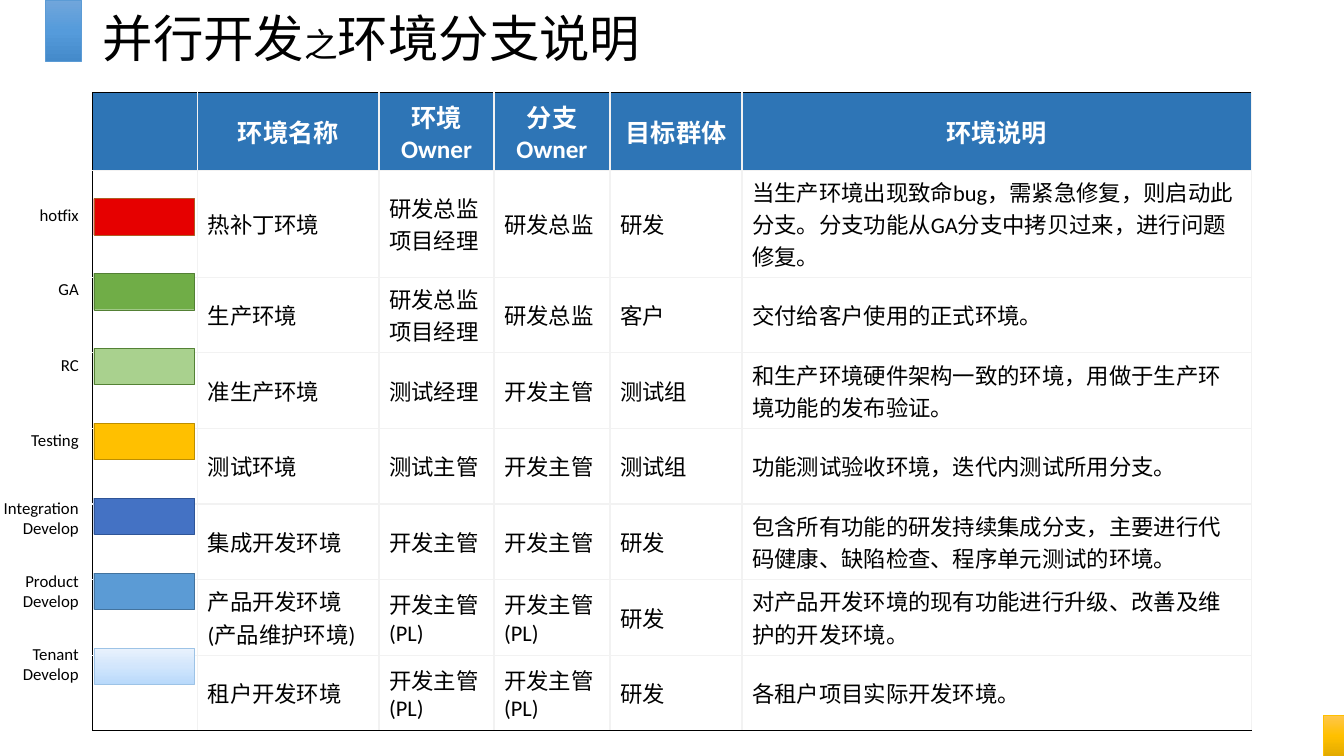
import copy
from dataclasses import dataclass

import pptx
import pptx.dml.color
import pptx.enum.shapes
import pptx.enum.text
import pptx.oxml
import pptx.oxml.ns
import pptx.shapes.autoshape
import pptx.slide
import pptx.table
import pptx.text.text
import pptx.util

Inches = pptx.util.Inches
Pt = pptx.util.Pt
ALIGN = pptx.enum.text.PP_ALIGN
MIDDLE = pptx.enum.text.MSO_ANCHOR.MIDDLE

FONT = "Calibri"
COLORS = {
    "black": "000000",
    "white": "FFFFFF",
    "header": "2E75B6",
    "grid": "F2F2F2",
    "blue_edge": "5B9BD5",
    "gold": "FFC000",
}
BLUE_FADE = ("71A6DB", "559BDB", "448ACA")
GOLD_FADE = ("FFC64B", "FFC000", "E3AB00")
TENANT_FADE = ("E9F2FD", "D2E6FC", "B8D9FB")


@dataclass
class Branch:
    label: str
    label_width: float
    label_top: float
    fills: tuple[str, ...]
    line: str


BRANCHES = [
    Branch("hotfix", 0.6, 1.98, ("E60000",), "AF5C24"),
    Branch("GA", 0.41, 2.72, ("70AD47",), "538035"),
    Branch("RC", 0.38, 3.47, ("A9D18E",), "548235"),
    Branch("Testing", 0.68, 4.21, ("FFC000",), "BD8E00"),
    Branch("Integration\nDevelop", 0.95, 4.89, ("4472C4",), "2F5597"),
    Branch("Product\nDevelop", 0.78, 5.61, ("5B9BD5",), "43739E"),
    Branch("Tenant\nDevelop", 0.76, 6.34, TENANT_FADE, "9DC3E6"),
]
BAR_TOP, BAR_PITCH = 1.97, (6.43 - 1.97) / 6
LABEL_RIGHT = 0.88

COLUMN_WIDTHS = [1.04, 1.8, 1.14, 1.15, 1.31, 5.05]
ROW_HEIGHTS = [0.77, 1.06] + [0.75] * 6
ROWS = [
    ["", "环境名称", "环境Owner", "分支Owner", "目标群体", "环境说明"],
    ["", "热补丁环境", "研发总监\n项目经理", "研发总监", "研发",
     "当生产环境出现致命bug，需紧急修复，则启动此分支。分支功能从GA分支中拷贝过来，进行问题修复。"],
    ["", "生产环境", "研发总监\n项目经理", "研发总监", "客户", "交付给客户使用的正式环境。"],
    ["", "准生产环境", "测试经理", "开发主管", "测试组",
     "和生产环境硬件架构一致的环境，用做于生产环境功能的发布验证。"],
    ["", "测试环境", "测试主管", "开发主管", "测试组", "功能测试验收环境，迭代内测试所用分支。"],
    ["", "集成开发环境", "开发主管", "开发主管", "研发",
     "包含所有功能的研发持续集成分支，主要进行代码健康、缺陷检查、程序单元测试的环境。"],
    ["", "产品开发环境\n(产品维护环境)", "开发主管\n(PL)", "开发主管\n(PL)", "研发",
     "对产品开发环境的现有功能进行升级、改善及维护的开发环境。"],
    ["", "租户开发环境", "开发主管\n(PL)", "开发主管\n(PL)", "研发", "各租户项目实际开发环境。"],
]


def rgb(value: str) -> pptx.dml.color.RGBColor:
    return pptx.dml.color.RGBColor.from_string(value)


def add_text(tf: pptx.text.text.TextFrame, text: str, *, size: float,
             color: str = "black", bold: bool = False,
             align: ALIGN = ALIGN.LEFT, spacing: float | None = None) -> None:
    for i, line in enumerate(text.split("\n")):
        p = tf.add_paragraph() if i else tf.paragraphs[-1]
        p.alignment = align
        p.line_spacing = spacing
        r = p.add_run()
        r.text = line
        r.font.name = FONT
        r.font.size = Pt(size)
        r.font.bold = bold
        r.font.color.rgb = rgb(COLORS[color])


def add_textbox(s: pptx.slide.Slide, left: float, top: float, width: float,
                height: float, wrap: bool) -> pptx.text.text.TextFrame:
    tf = s.shapes.add_textbox(
        Inches(left), Inches(top), Inches(width), Inches(height)).text_frame
    tf.word_wrap = wrap
    return tf


def add_bar(s: pptx.slide.Slide, left: float, top: float, width: float,
            height: float, fills: tuple[str, ...], line: str,
            line_width: float) -> pptx.shapes.autoshape.Shape:
    sp = s.shapes.add_shape(
        pptx.enum.shapes.MSO_SHAPE.RECTANGLE,
        Inches(left), Inches(top), Inches(width), Inches(height))
    sp.shadow.inherit = False
    sp.line.color.rgb = rgb(line)
    sp.line.width = Pt(line_width)
    if len(fills) == 1:
        sp.fill.solid()
        sp.fill.fore_color.rgb = rgb(fills[0])
        return sp
    sp.fill.gradient()
    sp.fill.gradient_angle = 270
    stops = sp._element.spPr.find(".//" + pptx.oxml.ns.qn("a:gsLst"))
    stops.insert(1, copy.deepcopy(stops[0]))
    for i, stop in enumerate(sp.fill.gradient_stops):
        stop.position = i / 2
        stop.color.rgb = rgb(fills[i])
    return sp


def set_borders(cell: pptx.table._Cell, **edges: str) -> None:
    tc_pr = cell._tc.get_or_add_tcPr()
    for side in "LRTB":
        tc_pr.append(pptx.oxml.parse_xml(
            f'<a:ln{side} {pptx.oxml.ns.nsdecls("a")} w="{Pt(1)}"><a:solidFill>'
            f'<a:srgbClr val="{COLORS[edges[side]]}"/></a:solidFill></a:ln{side}>'))


def add_environment_table(s: pptx.slide.Slide) -> None:
    table = s.shapes.add_table(
        len(ROWS), len(COLUMN_WIDTHS), Inches(0.92), Inches(0.92),
        Inches(sum(COLUMN_WIDTHS)), Inches(sum(ROW_HEIGHTS))).table
    table.horz_banding = False
    for column, width in zip(table.columns, COLUMN_WIDTHS):
        column.width = Inches(width)
    for i, (texts, height) in enumerate(zip(ROWS, ROW_HEIGHTS)):
        table.rows[i].height = Inches(height)
        for j, text in enumerate(texts):
            cell = table.cell(i, j)
            cell.vertical_anchor = MIDDLE
            set_borders(cell, L="grid" if j else "black", R="grid",
                        T="grid" if i else "black",
                        B="black" if i == len(ROWS) - 1 else "grid")
            if i == 0:
                cell.fill.solid()
                cell.fill.fore_color.rgb = rgb(COLORS["header"])
            else:
                cell.fill.background()
            if text and i == 0:
                add_text(cell.text_frame, text, size=18, color="white",
                         bold=True, align=ALIGN.CENTER)
            elif text:
                add_text(cell.text_frame, text, size=16)


def add_branches(s: pptx.slide.Slide) -> None:
    for i, branch in enumerate(BRANCHES):
        add_bar(s, 0.93, BAR_TOP + i * BAR_PITCH, 1, 0.36,
                branch.fills, branch.line, 0.25)
        tf = add_textbox(s, LABEL_RIGHT - branch.label_width, branch.label_top,
                         branch.label_width, 0.5 if "\n" in branch.label else 0.3,
                         wrap=False)
        tf.auto_size = pptx.enum.text.MSO_AUTO_SIZE.SHAPE_TO_FIT_TEXT
        add_text(tf, branch.label, size=12, align=ALIGN.RIGHT)


def main() -> None:
    prs = pptx.Presentation()
    prs.slide_width, prs.slide_height = Inches(13.33), Inches(7.5)
    s = prs.slides.add_slide(prs.slide_layouts[6])
    add_bar(s, 0.45, 0, 0.36, 0.61, BLUE_FADE, COLORS["blue_edge"], 0.5)
    add_bar(s, 13.13, 7.1, 0.2, 0.4, GOLD_FADE, COLORS["gold"], 0.5)
    title = add_textbox(s, 0.92, 0.11, 11.5, 0.6, wrap=True)
    title.vertical_anchor = MIDDLE
    for text, size in (("并行开发", 36), ("之", 24), ("环境分支说明", 36)):
        add_text(title, text, size=size, spacing=0.9)
    add_environment_table(s)
    add_branches(s)
    prs.save("out.pptx")


if __name__ == "__main__":
    main()
